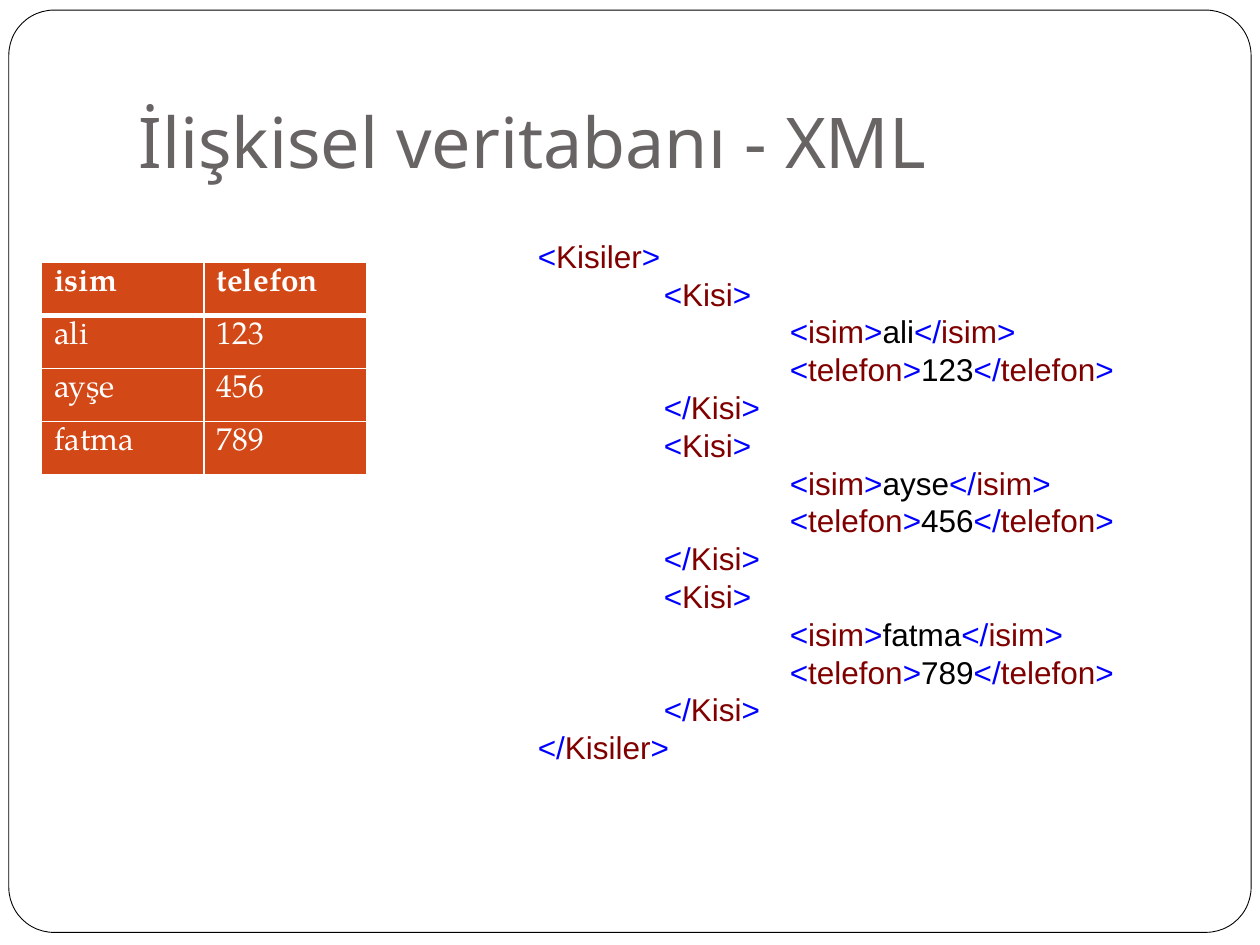
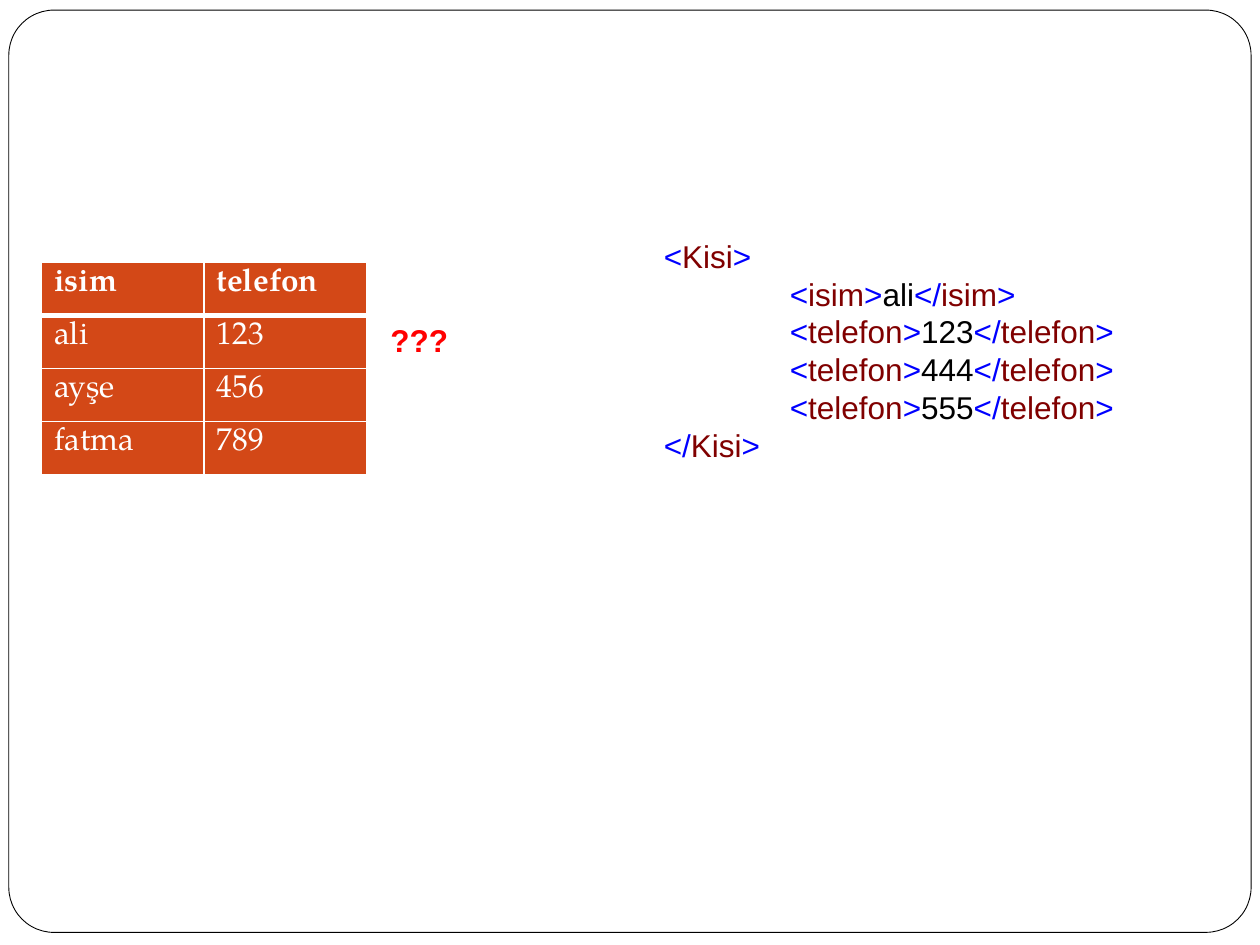
from dataclasses import dataclass
from typing import NamedTuple

from lxml.etree import SubElement
from pptx import Presentation
from pptx.dml.color import RGBColor
from pptx.enum.shapes import MSO_SHAPE
from pptx.enum.text import MSO_ANCHOR, MSO_AUTO_SIZE, PP_ALIGN
from pptx.oxml.ns import qn
from pptx.util import Inches, Pt

WIDTH, HEIGHT = Inches(10), Inches(7.5)
TAB = Inches(1)

WHITE = RGBColor(0xFF, 0xFF, 0xFF)
BLACK = RGBColor(0x00, 0x00, 0x00)
TITLE_GREY = RGBColor(0x69, 0x64, 0x64)
TABLE_ORANGE = RGBColor(0xD3, 0x48, 0x17)
BRACKET_BLUE = RGBColor(0x00, 0x00, 0xFF)
TAG_MAROON = RGBColor(0x80, 0x00, 0x00)
ALERT_RED = RGBColor(0xFF, 0x00, 0x00)

TITLE_FONT, TABLE_FONT, CODE_FONT = "Noto Sans", "TeX Gyre Pagella", "Arial"
TITLE_ONLY, BLANK = 5, 6

PHONE_ROWS = [("isim", "telefon"), ("ali", "123"), ("ayşe", "456"), ("fatma", "789")]
PEOPLE = [("ali", "123"), ("ayse", "456"), ("fatma", "789")]


class Box(NamedTuple):
    """A rectangle in inches."""
    left: float
    top: float
    width: float
    height: float

    def lengths(self) -> list:
        """Return the four lengths in slide units."""
        return [Inches(value) for value in self]


@dataclass
class CodeLine:
    """One line of markup: its depth and its coloured pieces."""
    depth: int
    pieces: list


FRAME = Box(0.07, 0.08, 9.86, 7.32)
TITLE = Box(1, 0.3, 8.5, 1.25)
TABLE = Box(0.33, 2.08, 2.58, 1.69)
CODE_LEFT, CODE_TOP, CODE_WIDTH = 4.17, 1.83, 5
CODE_LINE_HEIGHT, CODE_PADDING = 0.3, 0.1
QUESTION = Box(3, 2.5, 0.66, 0.4)


def add_run(paragraph, text: str, *, font: str = CODE_FONT, size: float = 18,
            color: RGBColor = BLACK, bold: bool = False) -> None:
    """Append formatted text to a paragraph."""
    run = paragraph.add_run()
    run.text = text
    run.font.name = font
    run.font.size = Pt(size)
    run.font.bold = bold
    run.font.color.rgb = color


def tag(name: str, opening: str = "<") -> list:
    """Return the coloured pieces of one tag."""
    return [(opening, BRACKET_BLUE), (name, TAG_MAROON), (">", BRACKET_BLUE)]


def field(name: str, value: str) -> CodeLine:
    """Return a line with a value between its tags."""
    return CodeLine(2, tag(name) + [(value, BLACK)] + tag(name, "</"))


def element(name: str, depth: int, children: list) -> list:
    """Wrap lines in an opening and a closing line."""
    return [CodeLine(depth, tag(name)), *children, CodeLine(depth, tag(name, "</"))]


def person(name: str, *phones: str) -> list:
    """Return the lines that describe one person."""
    return element("Kisi", 1, [field("isim", name),
                               *(field("telefon", phone) for phone in phones)])


def add_frame(slide) -> None:
    """Draw the rounded page frame behind everything else."""
    frame = slide.shapes.add_shape(MSO_SHAPE.ROUNDED_RECTANGLE, *FRAME.lengths())
    frame.adjustments[0] = 0.049
    frame.shadow.inherit = False
    frame.fill.solid()
    frame.fill.fore_color.rgb = WHITE
    frame.line.color.rgb = BLACK
    frame.line.width = Pt(0.5)
    slide.shapes._spTree.insert(2, frame._element)


def set_title(slide, text: str) -> None:
    """Place and format the title placeholder."""
    title = slide.shapes.title
    title.left, title.top, title.width, title.height = TITLE.lengths()
    frame = title.text_frame
    frame.auto_size = MSO_AUTO_SIZE.NONE
    frame.vertical_anchor = MSO_ANCHOR.BOTTOM
    frame.margin_left = frame.margin_right = frame.margin_bottom = Inches(0.1)
    frame.margin_top = Inches(0.05)
    paragraph = frame.paragraphs[0]
    paragraph.alignment = PP_ALIGN.LEFT
    add_run(paragraph, text, font=TITLE_FONT, size=40, color=TITLE_GREY)


def set_borders(cell, top: float, bottom: float) -> None:
    """Give a cell white borders; call before setting its fill."""
    properties = cell._tc.get_or_add_tcPr()
    for side, width in (("L", 1), ("R", 1), ("T", top), ("B", bottom)):
        line = SubElement(properties, qn(f"a:ln{side}"), w=str(Pt(width)))
        fill = SubElement(line, qn("a:solidFill"))
        SubElement(fill, qn("a:srgbClr"), val=str(WHITE))


def add_phone_table(slide) -> None:
    """Draw the table of names and phone numbers."""
    table = slide.shapes.add_table(len(PHONE_ROWS), len(PHONE_ROWS[0]),
                                   *TABLE.lengths()).table
    table.horz_banding = False
    for row, values in enumerate(PHONE_ROWS):
        for column, value in enumerate(values):
            cell = table.cell(row, column)
            set_borders(cell, top=3 if row == 1 else 1, bottom=3 if row == 0 else 1)
            cell.fill.solid()
            cell.fill.fore_color.rgb = TABLE_ORANGE
            add_run(cell.text_frame.paragraphs[0], value, font=TABLE_FONT,
                    color=WHITE, bold=row == 0)


def add_text_frame(slide, box: Box, wrap: bool):
    """Add a text box that grows with its text and return its frame."""
    frame = slide.shapes.add_textbox(*box.lengths()).text_frame
    frame.word_wrap = wrap
    frame.auto_size = MSO_AUTO_SIZE.SHAPE_TO_FIT_TEXT
    return frame


def add_code(slide, lines: list) -> None:
    """Write coloured markup, one paragraph a line."""
    height = len(lines) * CODE_LINE_HEIGHT + CODE_PADDING
    frame = add_text_frame(slide, Box(CODE_LEFT, CODE_TOP, CODE_WIDTH, height), True)
    for index, line in enumerate(lines):
        paragraph = frame.add_paragraph() if index else frame.paragraphs[0]
        paragraph._p.get_or_add_pPr().set("defTabSz", str(TAB))
        if line.depth:
            add_run(paragraph, "\t" * line.depth)
        for text, color in line.pieces:
            add_run(paragraph, text, color=color)


def add_slide(presentation, layout: int, lines: list):
    """Add a slide with the shared frame, table and markup."""
    slide = presentation.slides.add_slide(presentation.slide_layouts[layout])
    add_frame(slide)
    add_phone_table(slide)
    add_code(slide, lines)
    return slide


def main() -> None:
    """Build and save the presentation."""
    presentation = Presentation()
    presentation.slide_width, presentation.slide_height = WIDTH, HEIGHT

    people = [line for entry in PEOPLE for line in person(*entry)]
    comparison = add_slide(presentation, TITLE_ONLY, element("Kisiler", 0, people))
    set_title(comparison, "İlişkisel veritabanı - XML")

    several_phones = add_slide(presentation, BLANK, person("ali", "123", "444", "555"))
    question = add_text_frame(several_phones, QUESTION, False)
    add_run(question.paragraphs[0], "???", color=ALERT_RED, bold=True)

    presentation.save("out.pptx")


main()
